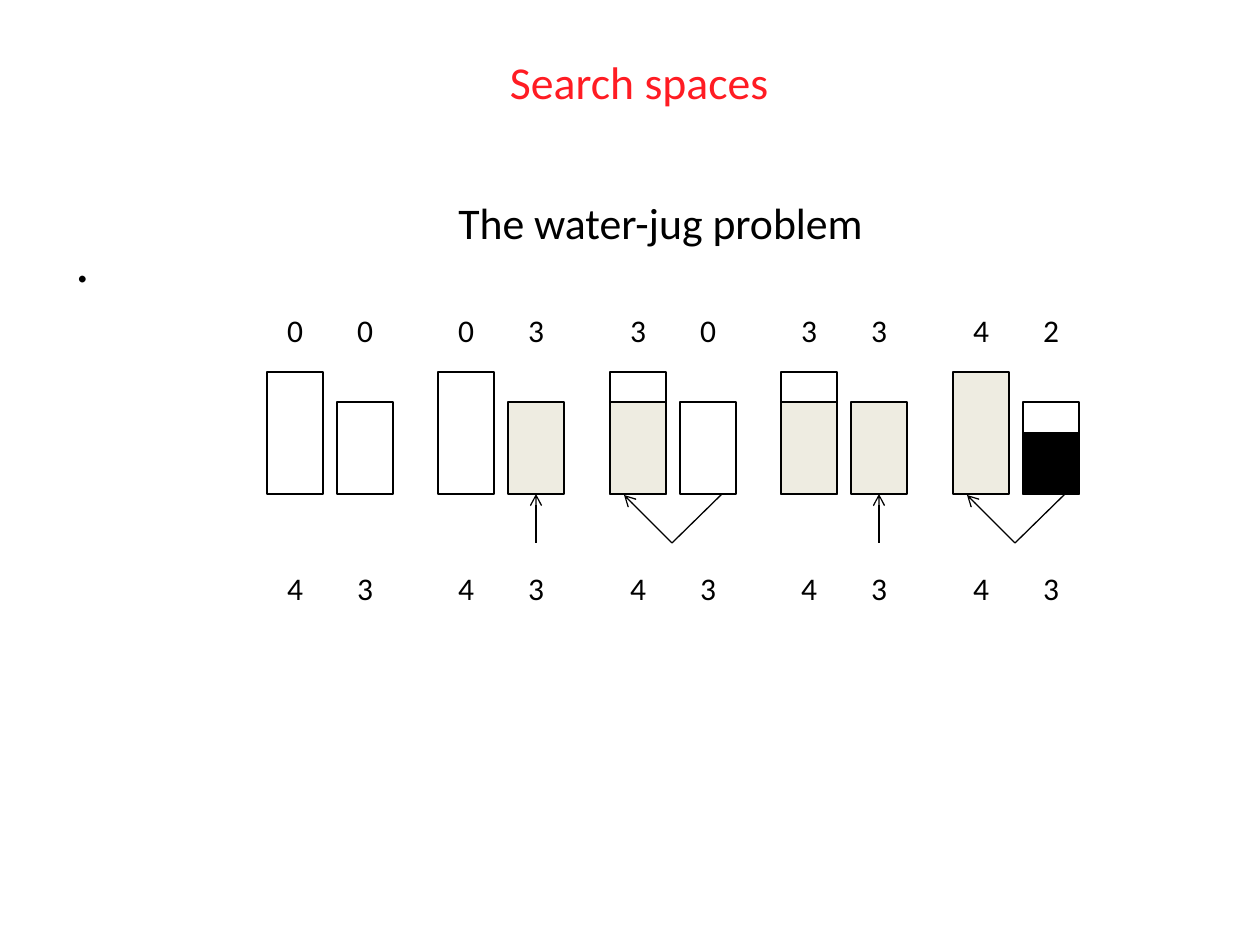
from lxml.etree import SubElement
from pptx import Presentation
from pptx.dml.color import RGBColor
from pptx.enum.shapes import MSO_CONNECTOR as Connector, MSO_SHAPE as Shape
from pptx.enum.text import MSO_ANCHOR as Anchor, PP_ALIGN as Align
from pptx.oxml.ns import qn
from pptx.util import Pt

EMU_PER_PX = 914400 / 126
RED, BLACK, WATER = "FF1C23", "000000", "EEECE1"
BIG, SMALL = 4, 3
FIRST_LEFT, JUG_STEP, JUG_WIDTH, BASE = 267, 70, 56, 494
STATES = [(0, 0), (0, 3), (3, 0), (3, 3), (4, 2)]
FILL_STEPS, POUR_STEPS = (1, 3), (2, 4)


def px(length):
    return round(length * EMU_PER_PX)


def color(code):
    return RGBColor.from_string(code)


class SlideBuilder:
    """Draws styled elements on one slide, measured in px."""

    def __init__(self, slide, font="Calibri", ink=BLACK, line_width=0.75):
        self.slide = slide
        self.font = font
        self.ink = ink
        self.line_width = Pt(line_width)

    def text(self, wording, left, top, width, height, size,
             ink=None, align=Align.CENTER, anchor=Anchor.TOP):
        box = self.slide.shapes.add_textbox(px(left), px(top), px(width), px(height))
        frame = box.text_frame
        frame.word_wrap = True
        frame.vertical_anchor = anchor
        frame.text = wording
        paragraph = frame.paragraphs[0]
        paragraph.alignment = align
        font = paragraph.runs[0].font
        font.name, font.size = self.font, Pt(size)
        font.color.rgb = color(ink or self.ink)

    def rect(self, left, units, fill=None):
        height = round(units * 30.5)
        rect = self.slide.shapes.add_shape(
            Shape.RECTANGLE, px(left), px(BASE - height), px(JUG_WIDTH), px(height))
        rect.shadow.inherit = False
        if fill:
            rect.fill.solid()
            rect.fill.fore_color.rgb = color(fill)
        else:
            rect.fill.background()
        rect.line.color.rgb = color(self.ink)
        rect.line.width = self.line_width
        return rect

    def jug(self, left, capacity, amount, water=WATER):
        full = amount == capacity
        jug = self.rect(left, capacity, water if full else None)
        if amount and not full:
            self.rect(left, amount, water)
        return jug

    def line(self, start, end, arrow=False):
        line = self.slide.shapes.add_connector(
            Connector.STRAIGHT, *(px(value) for value in (*start, *end)))
        line.line.color.rgb = color(self.ink)
        line.line.width = self.line_width
        if arrow:
            SubElement(line.line._get_or_add_ln(), qn("a:tailEnd"), type="arrow")
        SubElement(line._element.spPr, qn("a:effectLst"))
        return line


def main():
    deck = Presentation()
    deck.slide_width, deck.slide_height = px(1260), px(945)
    page = SlideBuilder(deck.slides.add_slide(deck.slide_layouts[6]))

    page.text("Search spaces", 281, 53, 500, 57, 26.1, RED, Align.RIGHT, Anchor.MIDDLE)
    page.text("The water-jug problem", 441, 190, 439, 64, 25)

    for step, amounts in enumerate(STATES):
        left = FIRST_LEFT + step * 343 // 2
        for place, (capacity, amount) in enumerate(zip((BIG, SMALL), amounts)):
            jug_left = left + place * JUG_STEP
            jug = page.jug(jug_left, capacity, amount, BLACK if amount == 2 else WATER)
            for number, top in ((amount, 305), (capacity, 563)):
                page.text(str(number), jug_left, top, JUG_WIDTH, 50, 18)
        if step in FILL_STEPS:
            center = jug_left + JUG_WIDTH // 2
            page.line((center, 543), (center, BASE), arrow=True).end_connect(jug, 2)
        if step in POUR_STEPS:
            turn = (left + 62, 543)
            page.line((left + 112, BASE), turn)
            page.line(turn, (left + 14, BASE + 1), arrow=True)

    page.text(".", 63, 220, 1134, 624, 32, align=Align.LEFT)
    deck.save("out.pptx")


if __name__ == "__main__":
    main()
